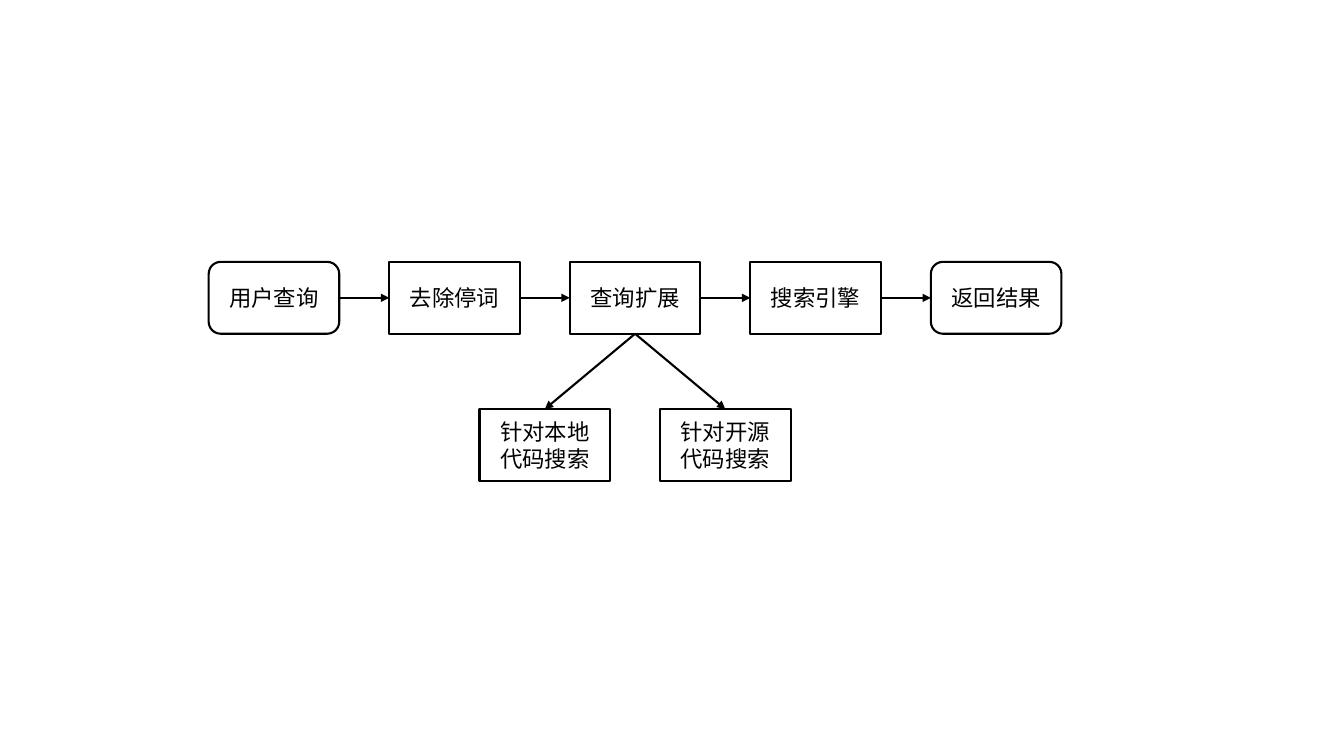
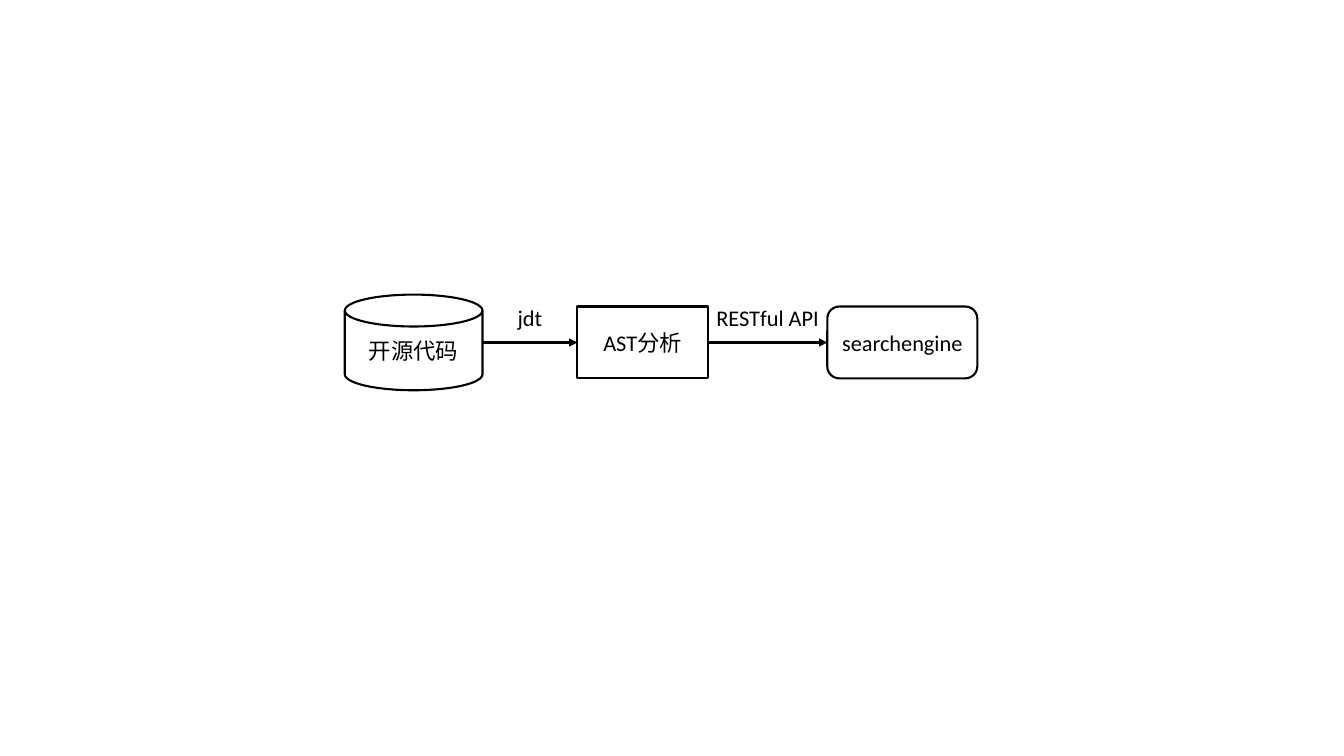
from lxml.etree import SubElement
from pptx import Presentation
from pptx.dml.color import RGBColor
from pptx.enum.shapes import MSO_CONNECTOR as CONN, MSO_SHAPE as SHAPE
from pptx.enum.text import MSO_ANCHOR as ANCHOR, MSO_AUTO_SIZE as AUTO, PP_ALIGN as ALIGN
from pptx.oxml.ns import qn
from pptx.util import Cm, Pt

BLACK = RGBColor(0x00, 0x00, 0x00)
WHITE = RGBColor(0xFF, 0xFF, 0xFF)
FONT = {"name": "Calibri", "size": Pt(16)}
LINE_WIDTH = Pt(1.5)
TOP, LEFT, BOTTOM, RIGHT = range(4)
RECT, ROUND, DISK = SHAPE.RECTANGLE, SHAPE.ROUNDED_RECTANGLE, SHAPE.FLOWCHART_MAGNETIC_DISK

# Content; lengths in cm
BOX_W, BOX_H = 3.29, 1.81
QUERY_LEFT, QUERY_TOP, QUERY_STEP = 5.26, 6.6, 4.55
QUERY_STEPS = [
    ("用户查询", ROUND),
    ("去除停词", RECT),
    ("查询扩展", RECT),
    ("搜索引擎", RECT),
    ("返回结果", ROUND),
]
EXPANSION = 2  # index of the step that branches
BRANCHES = ["针对本地代码搜索", "针对开源代码搜索"]
BRANCH_TOP = 10.31

INDEX_MIDDLE = 8.63
INDEX_STEPS = [  # text, shape, left, width, height
    ("开源代码", DISK, 8.69, 3.47, 2.41),
    ("AST分析", RECT, 14.55, BOX_W, BOX_H),
    ("searchengine", ROUND, 20.85, 3.78, BOX_H),
]
INDEX_LABELS = [("jdt", 1.14), ("RESTful API", 3.12)]  # text, width
LABEL_TOP, LABEL_H = 7.54, 0.94


def write(tf, text):
    p = tf.paragraphs[0]
    p.alignment = ALIGN.CENTER
    r = p.add_run()
    r.text = text
    for name, value in FONT.items():
        setattr(r.font, name, value)
    r.font.color.rgb = BLACK


def add_box(slide, text, kind, left, top, width=BOX_W, height=BOX_H):
    sp = slide.shapes.add_shape(kind, Cm(left), Cm(top), Cm(width), Cm(height))
    sp.shadow.inherit = False
    sp.fill.solid()
    sp.fill.fore_color.rgb = WHITE
    sp.line.color.rgb = BLACK
    sp.line.width = LINE_WIDTH
    sp.text_frame.word_wrap = True
    sp.text_frame.vertical_anchor = ANCHOR.MIDDLE
    write(sp.text_frame, text)
    return sp


def add_arrow(slide, source, target, begin=RIGHT, end=LEFT):
    # Start on the source's side, which also serves shapes with other site numbers
    x = source.left + (source.width if begin == RIGHT else source.width // 2)
    y = source.top + (source.height if begin == BOTTOM else source.height // 2)
    cxn = slide.shapes.add_connector(CONN.STRAIGHT, x, y, x, y)
    if source.auto_shape_type != DISK:
        cxn.begin_connect(source, begin)
    cxn.end_connect(target, end)
    cxn.line.color.rgb = BLACK
    cxn.line.width = LINE_WIDTH
    sp_pr = cxn._element.spPr
    SubElement(sp_pr.find(qn("a:ln")), qn("a:tailEnd"), type="triangle")
    SubElement(sp_pr, qn("a:effectLst"))


def add_label(slide, text, center, width):
    tb = slide.shapes.add_textbox(Cm(center - width / 2), Cm(LABEL_TOP), Cm(width), Cm(LABEL_H))
    tb.text_frame.word_wrap = False
    tb.text_frame.auto_size = AUTO.SHAPE_TO_FIT_TEXT
    write(tb.text_frame, text)


def chain(slide, boxes):
    for source, target in zip(boxes, boxes[1:]):
        add_arrow(slide, source, target)


def build_query_flow(slide):
    # Main row
    boxes = [add_box(slide, text, kind, QUERY_LEFT + i * QUERY_STEP, QUERY_TOP)
             for i, (text, kind) in enumerate(QUERY_STEPS)]
    chain(slide, boxes)
    # Branches, centred below the expansion step
    for i, text in enumerate(BRANCHES):
        column = EXPANSION + i - (len(BRANCHES) - 1) / 2
        branch = add_box(slide, text, RECT, QUERY_LEFT + column * QUERY_STEP, BRANCH_TOP)
        add_arrow(slide, boxes[EXPANSION], branch, BOTTOM, TOP)


def build_index_flow(slide):
    boxes = [add_box(slide, text, kind, left, INDEX_MIDDLE - height / 2, width, height)
             for text, kind, left, width, height in INDEX_STEPS]
    chain(slide, boxes)
    # Labels, centred over the arrows
    for (text, width), source, target in zip(INDEX_LABELS, boxes, boxes[1:]):
        center = (source.left + source.width + target.left) / 2 / Cm(1)
        add_label(slide, text, center, width)


def main():
    prs = Presentation()
    prs.slide_width, prs.slide_height = Cm(33.87), Cm(19.05)
    for build in (build_query_flow, build_index_flow):
        build(prs.slides.add_slide(prs.slide_layouts[6]))
    prs.save("out.pptx")


if __name__ == "__main__":
    main()
